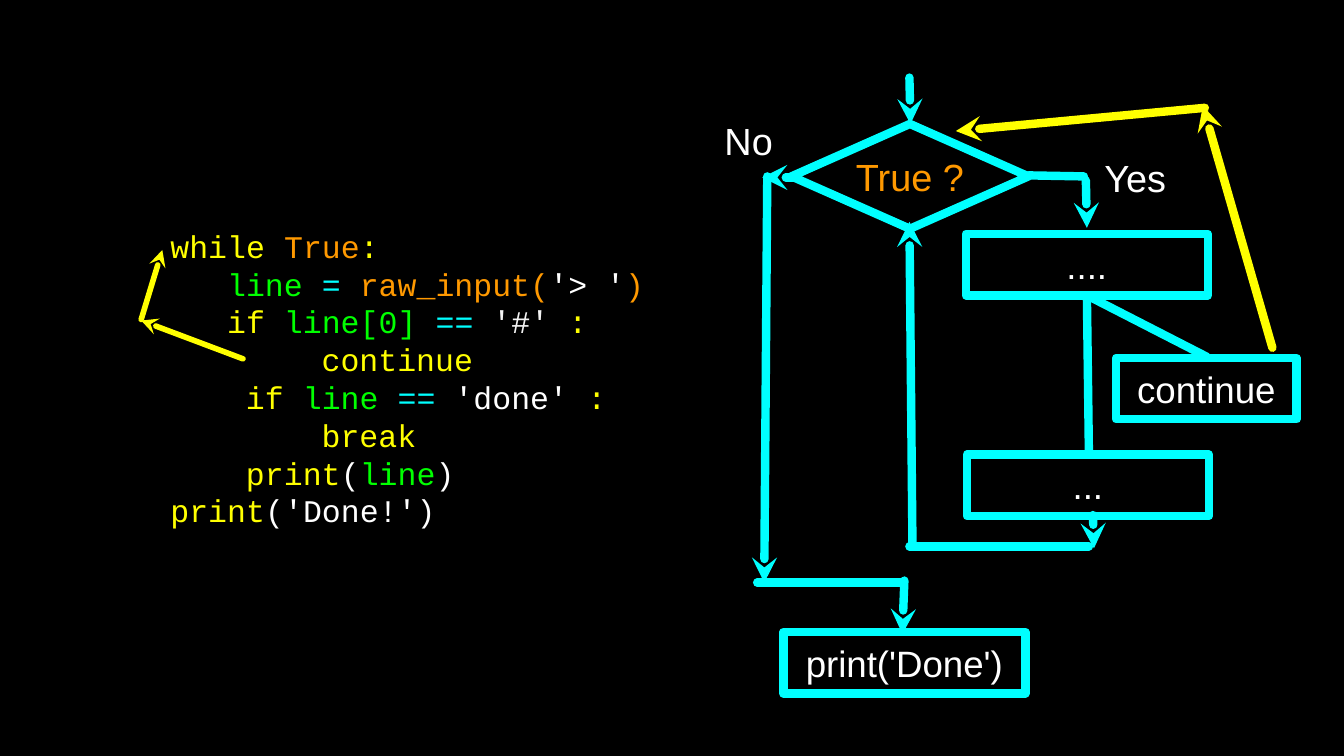
import pptx
import pptx.util
import pptx.dml.color
import pptx.enum.shapes
import pptx.enum.text
import pptx.oxml
import pptx.oxml.ns
from pptx.util import Inches

COLOURS = {
    "black": "000000", "white": "FFFFFF", "pale": "F3F3F3", "cyan": "00FFFF",
    "yellow": "FFFF00", "orange": "FF9900", "green": "00FF00",
}
CHARACTER_WIDTH = 0.1875  # inches, Courier New at 22.5 pt

# Each code line: indent in characters, then (text, colour) spans
CODE = [
    (0, [("while ", "yellow"), ("True", "orange"), (":", "yellow")]),
    (3, [("line ", "green"), ("= ", "cyan"), ("raw_input(", "orange"),
         ("'> '", "white"), (")", "orange")]),
    (3, [("if", "yellow"), (" line[0] ", "green"), ("== ", "cyan"),
         ("'#' ", "pale"), (":", "yellow")]),
    (8, [("continue", "yellow")]),
    (4, [("if ", "yellow"), ("line ", "green"), ("==", "cyan"),
         (" 'done' ", "white"), (":", "yellow")]),
    (8, [("break", "yellow")]),
    (4, [("print", "yellow"), ("(", "white"), ("line", "green"), (")", "white")]),
    (0, [("print", "yellow"), ("('Done!')", "white")]),
]

# Flow boxes: text, left, top, width
BOXES = [
    ("....", 9.58, 2.32, 2.4),
    ("continue", 11.07, 3.55, 1.79),
    ("...", 9.59, 4.51, 2.4),
    ("print('Done')", 7.77, 6.27, 2.4),
]

# Lines: start, end
PLAIN_LINES = [
    ((10.2, 1.74), (10.75, 1.75)),
    ((10.78, 2.93), (11.97, 3.54)),
    ((10.78, 2.93), (10.8, 4.51)),
    ((10.8, 5.42), (9.02, 5.42)),
    ((7.51, 5.78), (8.95, 5.78)),
]
FLOW_ARROWS = [
    ((9.02, 0.77), (9.03, 1.23)),
    ((10.77, 1.79), (10.78, 2.26)),
    ((10.84, 5.11), (10.85, 5.44)),
    ((9.05, 5.42), (9.02, 2.2)),
    ((7.89, 1.76), (7.56, 1.76)),
    ((7.61, 1.75), (7.58, 5.78)),
    ((8.97, 5.76), (8.95, 6.29)),
]
CONTINUE_ARROWS = [
    ((12.62, 3.45), (11.93, 1.05)),
    ((11.95, 1.07), (9.48, 1.3)),
]
CODE_ARROWS = [
    ((2.41, 3.56), (1.4, 3.18)),
    ((1.4, 3.17), (1.61, 2.48)),
]


def rgb(name):
    return pptx.dml.color.RGBColor.from_string(COLOURS[name])


def style_span(span, font, size, colour):
    span.font.name = font
    span.font.size = pptx.util.Pt(size)
    span.font.color.rgb = rgb(colour)


def prepare_frame(frame):
    frame.margin_left = frame.margin_right = 0
    frame.margin_top = frame.margin_bottom = 0
    frame.vertical_anchor = pptx.enum.text.MSO_ANCHOR.MIDDLE


def write_centred(shape, text, size, colour):
    frame = shape.text_frame
    prepare_frame(frame)
    frame.text = text
    para = frame.paragraphs[0]
    para.alignment = pptx.enum.text.PP_ALIGN.CENTER
    style_span(para.runs[0], "Arial", size, colour)


def add_node(page, kind, text, left, top, width, height, size, colour):
    node = page.shapes.add_shape(
        kind, Inches(left), Inches(top), Inches(width), Inches(height))
    node.shadow.inherit = False
    node.fill.background()
    node.line.color.rgb = rgb("cyan")
    node.line.width = pptx.util.Pt(6)
    write_centred(node, text, size, colour)


def add_label(page, text, left, top, width):
    box = page.shapes.add_textbox(
        Inches(left), Inches(top), Inches(width), Inches(0.51))
    write_centred(box, text, 27, "white")


def add_line(page, start, end, colour="cyan", weight=6, arrow=False):
    line = page.shapes.add_connector(
        pptx.enum.shapes.MSO_CONNECTOR.STRAIGHT,
        *[Inches(value) for value in start + end])
    line.line.color.rgb = rgb(colour)
    line.line.width = pptx.util.Pt(weight)
    outline = line.line._get_or_add_ln()
    outline.set("cap", "rnd")
    namespace = pptx.oxml.ns.nsdecls("a")
    outline.append(pptx.oxml.parse_xml(f"<a:round {namespace}/>"))
    if arrow:
        outline.append(pptx.oxml.parse_xml(
            f'<a:tailEnd {namespace} type="stealth"/>'))
    line._element.spPr.append(pptx.oxml.parse_xml(f"<a:effectLst {namespace}/>"))


def add_code(page):
    box = page.shapes.add_textbox(
        Inches(1.69), Inches(1.93), Inches(5.16), Inches(3.64))
    frame = box.text_frame
    frame.word_wrap = True
    prepare_frame(frame)
    for number, (indent, spans) in enumerate(CODE):
        para = frame.add_paragraph() if number else frame.paragraphs[0]
        para.line_spacing = pptx.util.Pt(27)
        properties = para._p.get_or_add_pPr()
        properties.set("marL", str(Inches(indent * CHARACTER_WIDTH)))
        properties.set("indent", "0")
        for text, colour in spans:
            span = para.add_run()
            span.text = text
            style_span(span, "Courier New", 22.5, colour)


def main():
    deck = pptx.Presentation()
    deck.slide_width, deck.slide_height = Inches(13.33), Inches(7.5)
    page = deck.slides.add_slide(deck.slide_layouts[6])
    page.background.fill.solid()
    page.background.fill.fore_color.rgb = rgb("black")

    # Program with its loop-back arrows
    add_code(page)
    for start, end in CODE_ARROWS:
        add_line(page, start, end, "yellow", 4, arrow=True)

    # Decision and steps of the flow chart
    kinds = pptx.enum.shapes.MSO_SHAPE
    add_node(page, kinds.DIAMOND, "True ?", 7.85, 1.23, 2.35, 1.04, 27, "orange")
    for text, left, top, width in BOXES:
        add_node(page, kinds.RECTANGLE, text, left, top, width, 0.61, 26.2, "white")
    add_label(page, "No", 7.13, 1.14, 0.59)
    add_label(page, "Yes", 10.9, 1.5, 0.72)

    # Flow lines
    for start, end in PLAIN_LINES:
        add_line(page, start, end)
    for start, end in FLOW_ARROWS:
        add_line(page, start, end, arrow=True)
    for start, end in CONTINUE_ARROWS:
        add_line(page, start, end, "yellow", arrow=True)

    deck.save("out.pptx")


main()
